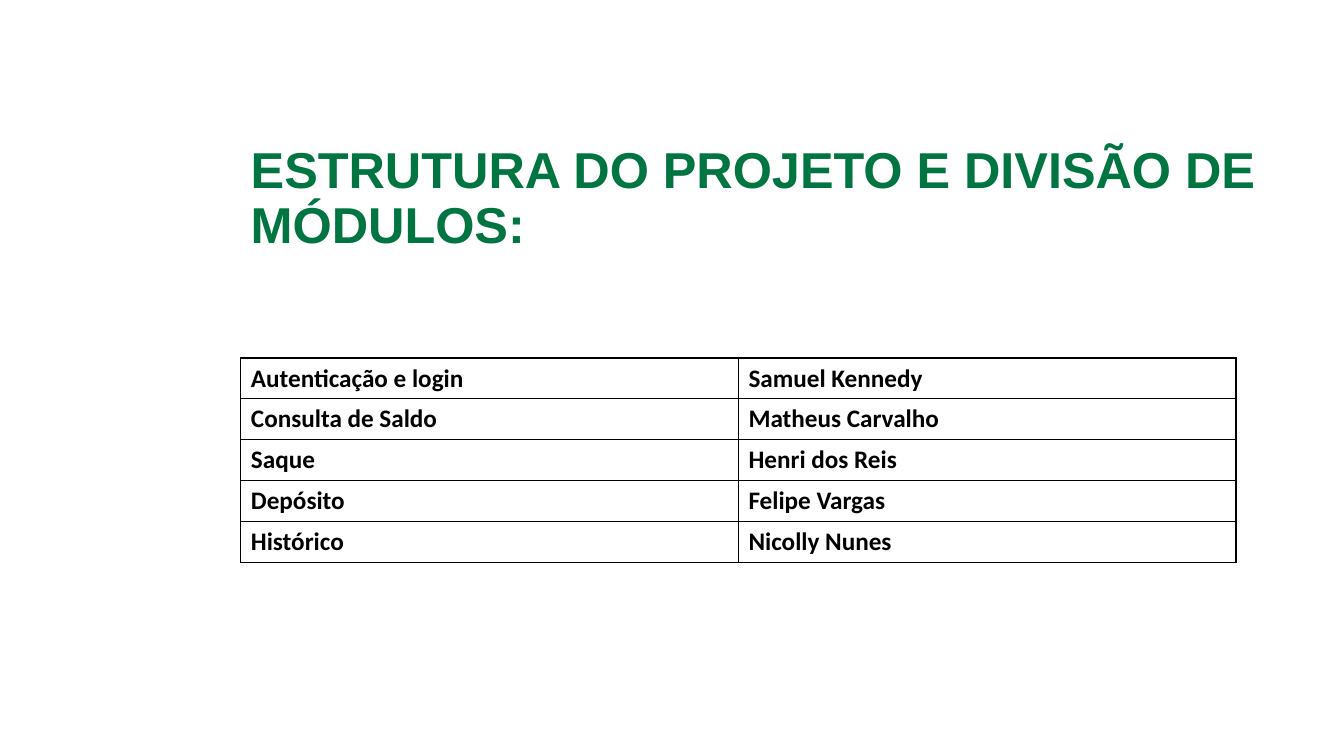
from typing import NamedTuple

from lxml import etree
from pptx import Presentation
from pptx import util as u
from pptx.dml.color import RGBColor
from pptx.enum import text
from pptx.oxml import ns

GREEN = RGBColor(0x00, 0x74, 0x41)
BLACK = RGBColor(0x00, 0x00, 0x00)
WHITE = RGBColor(0xFF, 0xFF, 0xFF)

LEFT = u.Cm(6.07)
COL = u.Cm(12.54)
ROW = u.Cm(1.03)


class Module(NamedTuple):
    task: str
    owner: str


MODULES = [
    Module("Autenticação e login", "Samuel Kennedy"),
    Module("Consulta de Saldo", "Matheus Carvalho"),
    Module("Saque", "Henri dos Reis"),
    Module("Depósito", "Felipe Vargas"),
    Module("Histórico", "Nicolly Nunes"),
]


def write(frame, words: str, *, size: float, font: str, color: RGBColor,
          spacing: float = 1.0) -> None:
    """Put one bold line of text into a text frame."""
    para = frame.paragraphs[0]
    para.line_spacing = spacing
    run = para.add_run()
    run.text = words
    run.font.size = u.Pt(size)
    run.font.name = font
    run.font.bold = True
    run.font.color.rgb = color


def border(cell, color: RGBColor, width: float) -> None:
    """Line all four sides of a cell; call before setting its fill."""
    props = cell._tc.get_or_add_tcPr()
    for side in ("lnL", "lnR", "lnT", "lnB"):
        line = etree.SubElement(props, ns.qn(f"a:{side}"), w=str(u.Pt(width)))
        fill = etree.SubElement(line, ns.qn("a:solidFill"))
        etree.SubElement(fill, ns.qn("a:srgbClr"), val=str(color))


def add_title(slide, words: str) -> None:
    box = slide.shapes.add_textbox(LEFT, u.Cm(3.2), u.Cm(28.6), u.Cm(3.66))
    frame = box.text_frame
    frame.word_wrap = True
    frame.vertical_anchor = text.MSO_ANCHOR.MIDDLE
    write(frame, words, size=36, font="Arial", color=GREEN, spacing=0.9)


def add_grid(slide, modules: list[Module]) -> None:
    cols = len(Module._fields)
    frame = slide.shapes.add_table(len(modules), cols, LEFT, u.Cm(9.02),
                                   COL * cols, ROW * len(modules))
    table = frame.table
    table.first_row = False
    table.horz_banding = False
    for row, module in zip(table.rows, modules):
        row.height = ROW
        for cell, words in zip(row.cells, module):
            border(cell, BLACK, 1)
            cell.fill.solid()
            cell.fill.fore_color.rgb = WHITE
            write(cell.text_frame, words, size=18, font="Calibri", color=BLACK)


def main() -> None:
    deck = Presentation()
    deck.slide_width = u.Cm(33.87)
    deck.slide_height = u.Cm(19.05)
    slide = deck.slides.add_slide(deck.slide_layouts[6])
    add_title(slide, "ESTRUTURA DO PROJETO E DIVISÃO DE MÓDULOS:")
    add_grid(slide, MODULES)
    deck.save("out.pptx")


if __name__ == "__main__":
    main()
